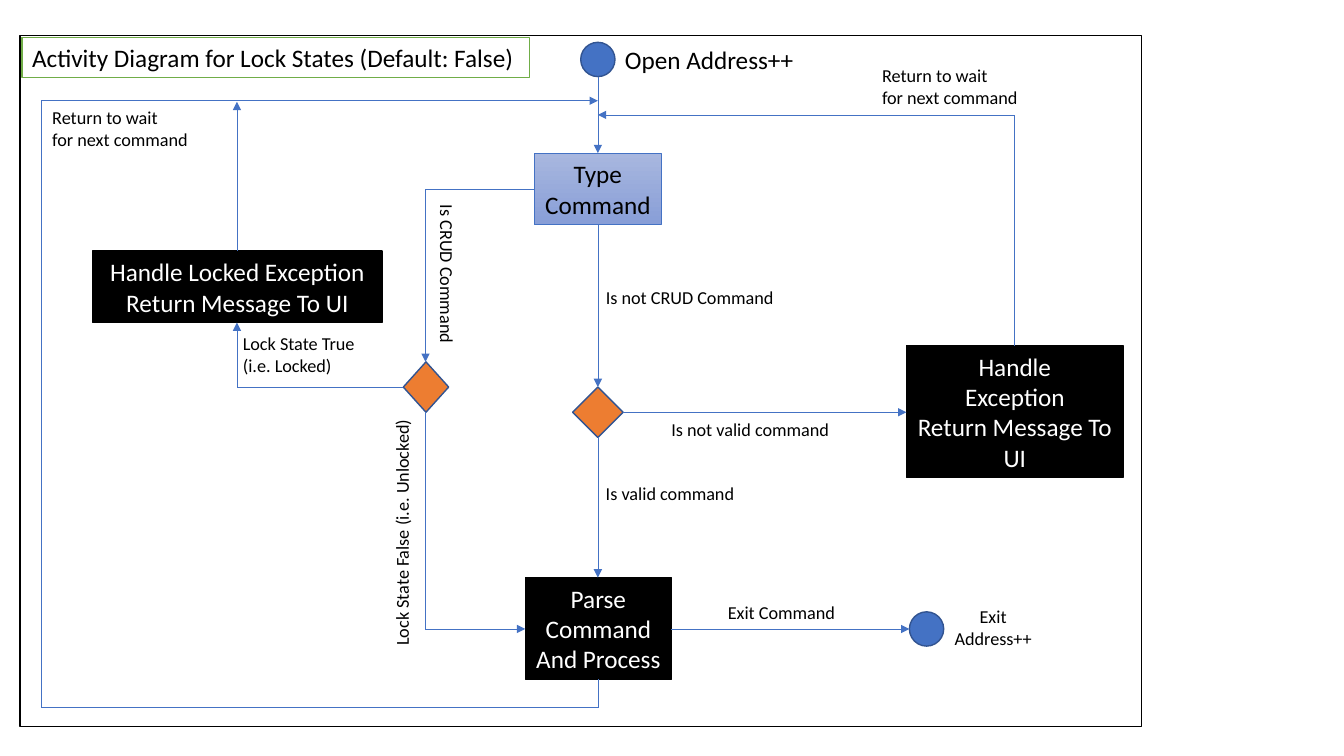
from dataclasses import dataclass
from itertools import pairwise

from lxml.etree import SubElement
from pptx import Presentation
from pptx.dml.color import RGBColor
from pptx.enum.shapes import MSO_CONNECTOR as Link, MSO_SHAPE as Shape
from pptx.enum.text import MSO_ANCHOR as Anchor, MSO_AUTO_SIZE as Fit, PP_ALIGN as Align
from pptx.oxml.ns import qn
from pptx.util import Inches, Pt


@dataclass(frozen=True)
class Theme:
    font: str = "Calibri"
    heading: float = 18
    label: float = 13
    outline: float = 1
    thin: float = 0.5
    white: str = "FFFFFF"
    black: str = "000000"
    blue: str = "4472C4"
    navy: str = "325491"
    orange: str = "ED7D31"
    green: str = "70AD47"
    shade: tuple = ("A8B7DF", "889ED7")


class Diagram:
    """Draws flowchart elements on one slide in one style."""

    def __init__(self, page, theme):
        self.page = page
        self.theme = theme

    def set_text(self, shape, text, size, color, align):
        frame = shape.text_frame
        frame.text = text
        frame.word_wrap = False
        frame.auto_size = Fit.SHAPE_TO_FIT_TEXT
        for para in frame.paragraphs:
            para.alignment = align
            para.font.name = self.theme.font
            para.font.size = Pt(size)
            para.font.color.rgb = RGBColor.from_string(color)

    def shape(self, kind, place, fill, line, width=None):
        shape = self.page.shapes.add_shape(kind, *map(Inches, place))
        shape.shadow.inherit = False
        if isinstance(fill, tuple):
            shape.fill.gradient()
            shape.fill.gradient_angle = 270
            for stop, color in zip(shape.fill.gradient_stops, fill):
                stop.color.rgb = RGBColor.from_string(color)
        else:
            shape.fill.solid()
            shape.fill.fore_color.rgb = RGBColor.from_string(fill)
        shape.line.color.rgb = RGBColor.from_string(line)
        shape.line.width = Pt(width or self.theme.outline)
        return shape

    def box(self, place, text, fill, line, color, width=None, align=Align.CENTER):
        box = self.shape(Shape.RECTANGLE, place, fill, line, width)
        box.text_frame.vertical_anchor = Anchor.MIDDLE
        self.set_text(box, text, self.theme.heading, color, align)

    def action(self, place, text):
        self.box(place, text, self.theme.black, self.theme.black, self.theme.white)

    def terminal(self, left, top):
        self.shape(Shape.OVAL, (left, top, 0.34, 0.34), self.theme.blue, self.theme.navy)

    def decision(self, place):
        self.shape(Shape.DIAMOND, place, self.theme.orange, self.theme.navy)

    def label(self, place, text, rotation=0, size=None, align=Align.LEFT):
        box = self.page.shapes.add_textbox(*map(Inches, place))
        box.rotation = rotation
        self.set_text(box, text, size or self.theme.label, self.theme.black, align)

    def route(self, *points):
        for start, end in pairwise(points):
            line = self.page.shapes.add_connector(Link.STRAIGHT, *map(Inches, start + end))
            line.line.color.rgb = RGBColor.from_string(self.theme.blue)
            line.line.width = Pt(self.theme.thin)
            properties = line._element.spPr
            if end == points[-1]:
                SubElement(properties.find(qn("a:ln")), qn("a:tailEnd"), type="triangle")
            SubElement(properties, qn("a:effectLst"))


deck = Presentation()
deck.slide_width, deck.slide_height = Inches(13.33), Inches(7.5)
theme = Theme()
diagram = Diagram(deck.slides.add_slide(deck.slide_layouts[6]), theme)

diagram.shape(Shape.RECTANGLE, (0.2, 0.35, 11.12, 6.86), theme.white, theme.black)
diagram.box((0.22, 0.37, 5.03, 0.4), "Activity Diagram for Lock States (Default: False)",
            theme.white, theme.green, theme.black, align=Align.LEFT)

diagram.terminal(5.76, 0.42)
diagram.terminal(9.02, 6.07)
diagram.decision((5.68, 3.84, 0.5, 0.5))
diagram.decision((4, 3.59, 0.45, 0.5))
diagram.box((5.3, 1.52, 1.26, 0.71), "Type\nCommand",
            theme.shade, theme.blue, theme.black, theme.thin)
diagram.action((5.21, 5.73, 1.45, 1.01), "Parse\nCommand\nAnd Process")
diagram.action((8.99, 3.43, 2.15, 1.31), "Handle\nException\nReturn Message To\nUI")
diagram.action((0.92, 2.49, 2.87, 0.71), "Handle Locked Exception\nReturn Message To UI")

main, crud, locked, invalid, loop = 5.93, 4.22, 2.35, 10.06, 0.41
process = 6.24
for top, bottom in ((0.76, 1.52), (2.23, 3.84), (4.34, 5.73)):
    diagram.route((main, top), (main, bottom))
diagram.route((5.3, 1.88), (crud, 1.88), (crud, 3.59))
diagram.route((crud, 4.09), (crud, process), (5.21, process))
diagram.route((4, 3.84), (locked, 3.84), (locked, 3.2))
diagram.route((locked, 2.49), (locked, 1.01))
diagram.route((6.18, 4.09), (8.99, 4.09))
diagram.route((invalid, 3.43), (invalid, 1.14), (main, 1.14))
diagram.route((6.66, process), (9.02, process))
diagram.route((main, 6.74), (main, 7.02), (loop, 7.02), (loop, 1), (main, 1))

diagram.label((6.1, 0.39, 1.89, 0.4), "Open Address++", size=theme.heading)
diagram.label((2.74, 5.1, 2.49, 0.32), "Lock State False (i.e. Unlocked)", rotation=270)
diagram.label((3.64, 2.57, 1.59, 0.32), "Is CRUD Command", rotation=90)
diagram.label((2.31, 3.25, 1.37, 0.54), "Lock State True\n(i.e. Locked)")
diagram.label((5.91, 2.79, 1.89, 0.32), "Is not CRUD Command")
diagram.label((5.91, 4.74, 1.5, 0.32), "Is valid command")
diagram.label((6.56, 4.1, 1.79, 0.32), "Is not valid command")
diagram.label((7.12, 5.92, 1.28, 0.32), "Exit Command")
diagram.label((9.36, 5.96, 0.98, 0.54), "Exit\nAddress++", align=Align.CENTER)
for left, top in ((8.65, 0.59), (0.42, 1.01)):
    diagram.label((left, top, 1.57, 0.54), "Return to wait\nfor next command")

deck.save("out.pptx")
